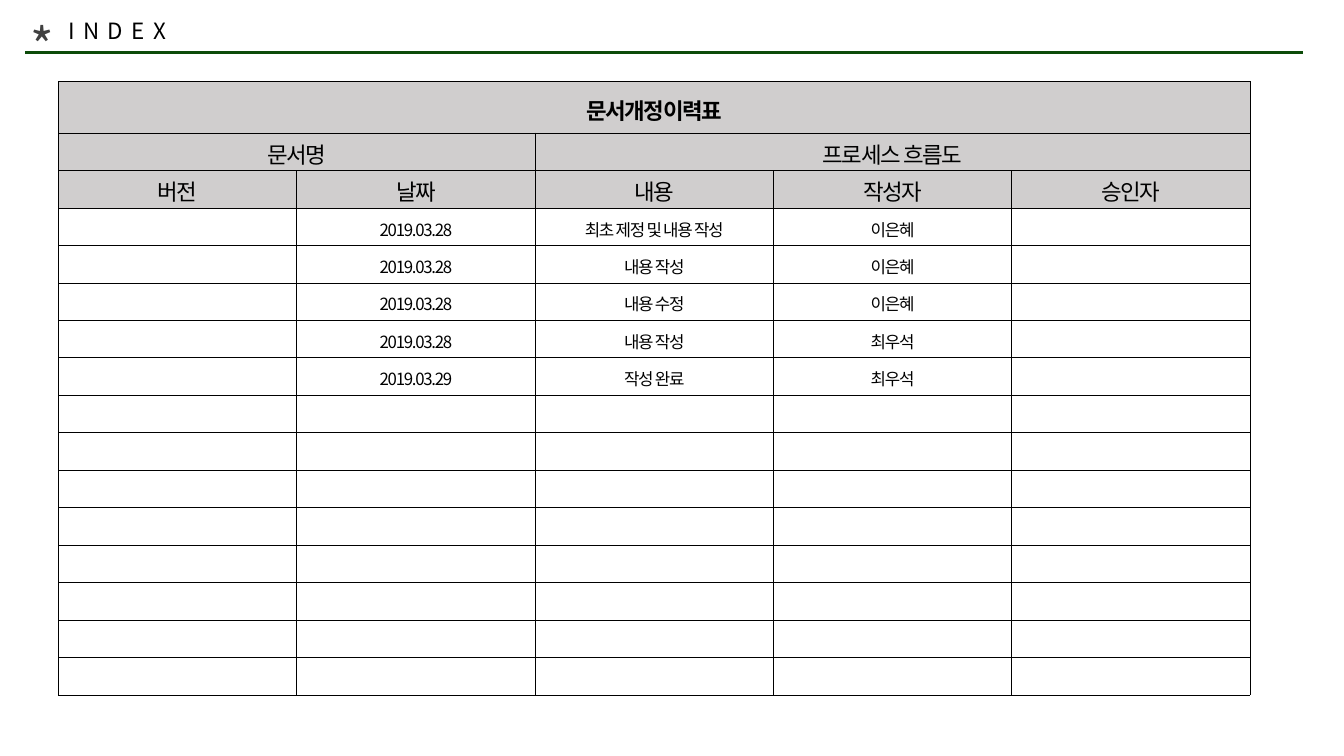
from typing import NamedTuple

from pptx import Presentation
from pptx.dml.color import RGBColor
from pptx.enum.shapes import MSO_CONNECTOR
from pptx.enum.text import MSO_ANCHOR as ANCHOR, MSO_AUTO_SIZE as AUTO, PP_ALIGN as ALIGN
from pptx.oxml import parse_xml
from pptx.oxml.ns import nsdecls
from pptx.oxml.xmlchemy import OxmlElement
from pptx.util import Inches, Pt

FONT = "Noto Sans CJK KR"
COLORS = {"rule": "0C4B09", "star": "404040", "text": "000000",
          "header": "D0CECE", "body": "FFFFFF"}
COLS, ROWS, HEADER_ROWS = 5, 16, 3
TABLE_X, TABLE_Y, TABLE_W, TABLE_H = 0.58, 0.81, 11.82, 6.09
TITLE_ROW_H = 0.51
ROW_H = (TABLE_H - TITLE_ROW_H) / (ROWS - 1)


class Style(NamedTuple):
    size: float
    color: str = "text"
    bold: bool = False
    spacing: float = -0.9


class Entry(NamedTuple):
    row: int
    col: int
    text: str
    span: int = 1


class Revision(NamedTuple):
    date: str
    content: str
    author: str


TITLE, HEADER, BODY = Style(16, bold=True), Style(16), Style(12)
HEADINGS = [Entry(0, 0, "문서개정이력표", COLS),
            Entry(1, 0, "문서명", 2), Entry(1, 2, "프로세스 흐름도", 3)]
HEADINGS += [Entry(2, c, label) for c, label in
             enumerate(["버전", "날짜", "내용", "작성자", "승인자"])]
REVISIONS = [
    Revision("2019.03.28", "최초 제정 및 내용 작성", "이은혜"),
    Revision("2019.03.28", "내용 작성", "이은혜"),
    Revision("2019.03.28", "내용 수정", "이은혜"),
    Revision("2019.03.28", "내용 작성", "최우석"),
    Revision("2019.03.29", "작성 완료", "최우석"),
]


def rgb(name: str) -> RGBColor:
    return RGBColor.from_string(COLORS[name])


def write(tf, text: str, style: Style, align=ALIGN.LEFT) -> None:
    tf.text = text
    p = tf.paragraphs[0]
    p.alignment = align
    r = p.runs[0]
    r.font.size, r.font.bold, r.font.name = Pt(style.size), style.bold, FONT
    r.font.color.rgb = rgb(style.color)
    rpr = r.font._element
    rpr.set("spc", str(round(style.spacing * 100)))
    ea = OxmlElement("a:ea")
    ea.set("typeface", FONT)
    rpr.find("{*}latin").addnext(ea)


def place_label(sp, box: tuple, text: str, style: Style) -> None:
    sp.left, sp.top, sp.width, sp.height = map(Inches, box)
    tf = sp.text_frame
    tf.word_wrap, tf.auto_size = True, AUTO.NONE
    tf.vertical_anchor = ANCHOR.TOP
    write(tf, text, style)


def add_rule(slide) -> None:
    y = Inches(0.52)
    line = slide.shapes.add_connector(MSO_CONNECTOR.STRAIGHT, Inches(0.25), y, Inches(12.92), y)
    line.line.color.rgb, line.line.width = rgb("rule"), Pt(2.25)
    line._element.spPr.append(OxmlElement("a:effectLst"))


def format_cell(cell, fill: str) -> None:
    """Give a cell its borders, fill, margins and empty-text size."""
    tcpr = cell._tc.get_or_add_tcPr()
    for side in ("lnL", "lnR", "lnT", "lnB"):
        tcpr.append(parse_xml(
            f'<a:{side} {nsdecls("a")} w="{Pt(0.5)}"><a:solidFill>'
            f'<a:srgbClr val="{COLORS["text"]}"/></a:solidFill></a:{side}>'))
    cell.fill.solid()
    cell.fill.fore_color.rgb = rgb(fill)
    cell.vertical_anchor = ANCHOR.MIDDLE
    cell.margin_top, cell.margin_bottom = Inches(0.04), 0
    end = OxmlElement("a:endParaRPr")
    end.set("sz", str(BODY.size * 100))
    cell.text_frame.paragraphs[0]._p.append(end)


def add_history(slide) -> None:
    table = slide.shapes.add_table(
        ROWS, COLS, *map(Inches, (TABLE_X, TABLE_Y, TABLE_W, TABLE_H))).table
    table.first_row = table.horz_banding = False
    for col in table.columns:
        col.width = Inches(TABLE_W / COLS)
    for i, row in enumerate(table.rows):
        row.height = Inches(ROW_H if i else TITLE_ROW_H)
        for cell in row.cells:
            format_cell(cell, "header" if i < HEADER_ROWS else "body")
    entries = HEADINGS + [Entry(i, c, text)
                          for i, revision in enumerate(REVISIONS, HEADER_ROWS)
                          for c, text in enumerate(revision, 1)]
    for e in entries:
        cell = table.cell(e.row, e.col)
        if e.span > 1:
            cell.merge(table.cell(e.row, e.col + e.span - 1))
        style = TITLE if e.row == 0 else HEADER if e.row < HEADER_ROWS else BODY
        write(cell.text_frame, e.text, style, ALIGN.CENTER)


def main() -> None:
    prs = Presentation()
    prs.slide_width, prs.slide_height = Inches(13.33), Inches(7.5)
    slide = prs.slides.add_slide(prs.slide_layouts[5])
    add_rule(slide)
    star = slide.shapes.add_textbox(0, 0, 0, 0)
    place_label(star, (0.2, 0.1, 0.52, 0.71), "*", Style(36, "star"))
    place_label(slide.shapes.title, (0.58, 0.12, 4.32, 0.37), "INDEX", Style(16, spacing=6))
    add_history(slide)
    prs.save("out.pptx")


if __name__ == "__main__":
    main()
